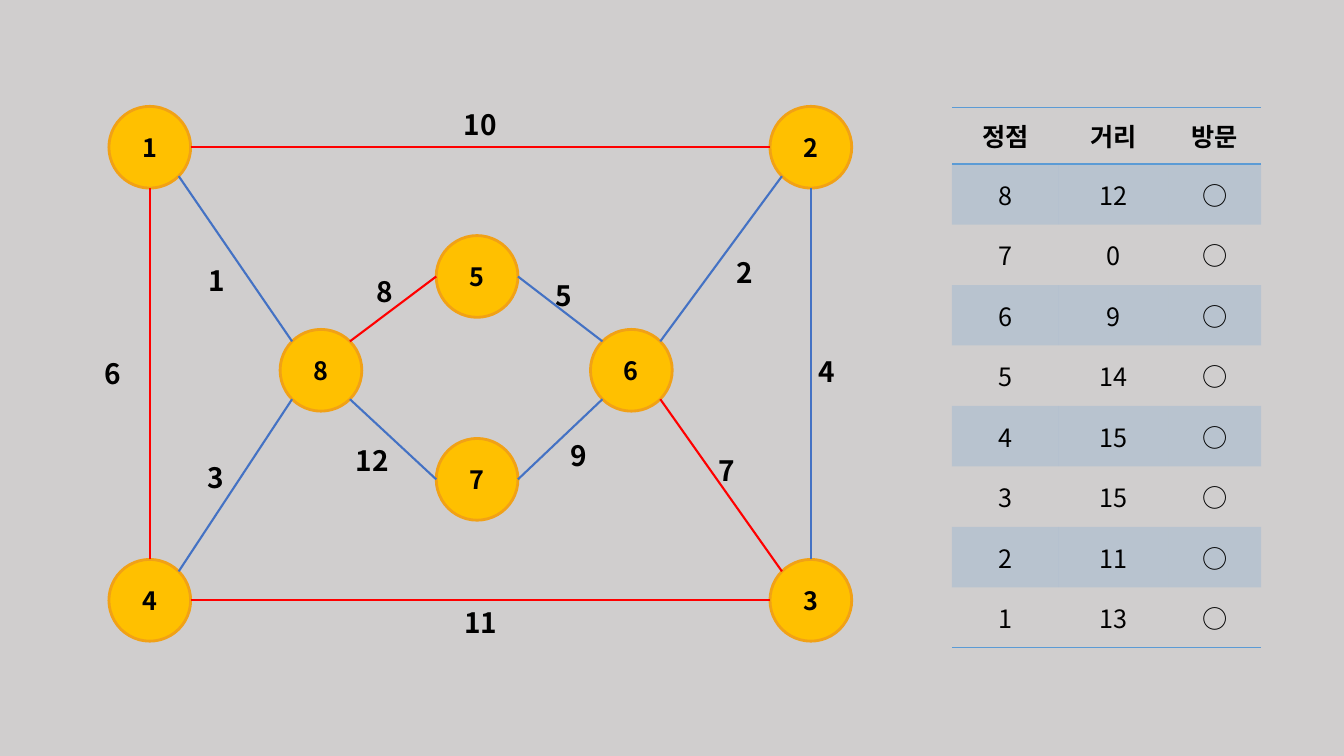
from lxml import etree
from pptx import Presentation
from pptx.dml.color import RGBColor
from pptx.enum.shapes import MSO_CONNECTOR, MSO_SHAPE
from pptx.enum.text import MSO_ANCHOR, MSO_AUTO_SIZE, PP_ALIGN
from pptx.oxml.ns import qn
from pptx.util import Pt

STRAIGHT = MSO_CONNECTOR.STRAIGHT
OVAL = MSO_SHAPE.OVAL
MIDDLE = MSO_ANCHOR.MIDDLE
FIT_SHAPE = MSO_AUTO_SIZE.SHAPE_TO_FIT_TEXT
CENTER, LEFT = PP_ALIGN.CENTER, PP_ALIGN.LEFT

FONT = "Noto Sans CJK KR"
COLORS = {
    "background": "D0CECE", "text": "000000", "node": "FFC000", "ring": "F1A116",
    "chosen": "FF0000", "plain": "4472C4", "table": "5B9BD5",
}
NO_TABLE_STYLE = "{2D5ABB26-0587-4C30-8999-92F81FD0307C}"

# Vertex: centre x, centre y
DIAMETER = 58.4
VERTICES = {
    "1": (107, 105.2), "2": (579.2, 105.2), "4": (107, 428.8), "3": (579.2, 428.8),
    "5": (340.8, 197.5), "7": (340.8, 342.4), "6": (451, 264.5), "8": (229.3, 264.5),
}

# Direction from a vertex centre to the point where an edge leaves its circle
DIAGONAL = 0.5 ** 0.5
SITES = {
    "N": (0, -1), "S": (0, 1), "W": (-1, 0), "E": (1, 0),
    "NW": (-DIAGONAL, -DIAGONAL), "NE": (DIAGONAL, -DIAGONAL),
    "SW": (-DIAGONAL, DIAGONAL), "SE": (DIAGONAL, DIAGONAL),
}

# Edge: start vertex and site, end vertex and site, colour, weight, label left and top
EDGES = [
    ("1", "E", "2", "W", "chosen", "10", 324, 73.4),
    ("1", "SE", "8", "NW", "plain", "1", 141.8, 185),
    ("4", "NE", "8", "SW", "plain", "3", 141.1, 325.4),
    ("4", "N", "1", "S", "chosen", "6", 67.7, 251.3),
    ("4", "E", "3", "W", "chosen", "11", 324.7, 429.1),
    ("8", "SE", "7", "W", "plain", "12", 247, 313.2),
    ("8", "NE", "5", "W", "chosen", "8", 262.1, 192.2),
    ("5", "E", "6", "NW", "plain", "5", 389.5, 195.1),
    ("6", "SE", "3", "NW", "chosen", "7", 506.2, 320.4),
    ("6", "NE", "2", "SW", "plain", "2", 519.1, 179.3),
    ("3", "N", "2", "S", "plain", "4", 577.4, 249.8),
    ("7", "E", "6", "SW", "plain", "9", 400.3, 309.6),
]
LABEL_HEIGHT = 31.7
LABEL_WIDTHS = {1: 25.9, 2: 38.2}

HEADER = ("정점", "거리", "방문")
DISTANCES = [("8", "12"), ("7", "0"), ("6", "9"), ("5", "14"),
             ("4", "15"), ("3", "15"), ("2", "11"), ("1", "13")]
VISITED = "○"
TABLE_LEFT, TABLE_TOP = 680, 76.8
COLUMN_WIDTHS = (76.4, 78.4, 66)
HEADER_HEIGHT, ROW_HEIGHT = 40.4, 43.2


def color(name):
    return RGBColor.from_string(COLORS[name])


def write(frame, text, size, bold, align):
    frame.text = text
    para = frame.paragraphs[0]
    para.alignment = align
    span = para.runs[0]
    span.font.name = FONT
    span.font.size = Pt(size)
    span.font.bold = bold
    span.font.color.rgb = color("text")
    etree.SubElement(span.font._element, qn("a:ea"), typeface=FONT)


def site_point(vertex, site):
    x, y = VERTICES[vertex]
    dx, dy = SITES[site]
    return Pt(x + dx * DIAMETER / 2), Pt(y + dy * DIAMETER / 2)


def add_vertex(slide, name, x, y):
    circle = slide.shapes.add_shape(OVAL, Pt(x - DIAMETER / 2), Pt(y - DIAMETER / 2),
                                    Pt(DIAMETER), Pt(DIAMETER))
    circle.shadow.inherit = False
    circle.fill.solid()
    circle.fill.fore_color.rgb = color("node")
    circle.line.color.rgb = color("ring")
    circle.line.width = Pt(2)
    circle.text_frame.vertical_anchor = MIDDLE
    write(circle.text_frame, name, 18, True, CENTER)


def add_edge(slide, start, end, color_name):
    edge = slide.shapes.add_connector(STRAIGHT, *start, *end)
    edge.line.color.rgb = color(color_name)
    edge.line.width = Pt(1.5)
    etree.SubElement(edge._element.spPr, qn("a:effectLst"))


def add_weight(slide, weight, left, top):
    box = slide.shapes.add_textbox(Pt(left), Pt(top), Pt(LABEL_WIDTHS[len(weight)]),
                                   Pt(LABEL_HEIGHT))
    box.text_frame.word_wrap = False
    box.text_frame.auto_size = FIT_SHAPE
    write(box.text_frame, weight, 20, True, LEFT)


def add_border(cell, side):
    """Draw one side of a cell; call before the cell is filled."""
    border = etree.SubElement(cell._tc.get_or_add_tcPr(), qn("a:" + side), w=str(Pt(1)))
    fill = etree.SubElement(border, qn("a:solidFill"))
    etree.SubElement(fill, qn("a:srgbClr"), val=COLORS["table"])


def shade(cell):
    cell.fill.solid()
    cell.fill.fore_color.rgb = color("table")
    tint = cell._tc.tcPr.find(qn("a:solidFill")).find(qn("a:srgbClr"))
    etree.SubElement(tint, qn("a:alpha"), val="20000")


def add_distance_table(slide):
    rows = [HEADER] + [pair + (VISITED,) for pair in DISTANCES]
    last = len(rows) - 1
    frame = slide.shapes.add_table(
        len(rows), len(HEADER), Pt(TABLE_LEFT), Pt(TABLE_TOP),
        Pt(sum(COLUMN_WIDTHS)), Pt(HEADER_HEIGHT + last * ROW_HEIGHT))
    table = frame.table
    table._tbl.tblPr.find(qn("a:tableStyleId")).text = NO_TABLE_STYLE
    for column, width in zip(table.columns, COLUMN_WIDTHS):
        column.width = Pt(width)
    for r, values in enumerate(rows):
        table.rows[r].height = Pt(ROW_HEIGHT if r else HEADER_HEIGHT)
        for c, value in enumerate(values):
            cell = table.cell(r, c)
            cell.vertical_anchor = MIDDLE
            write(cell.text_frame, value, 18, r == 0, CENTER)
            if r == 0:
                add_border(cell, "lnT")
            if r in (0, last):
                add_border(cell, "lnB")
            if r % 2:
                shade(cell)
            else:
                cell.fill.background()


def main():
    deck = Presentation()
    deck.slide_width, deck.slide_height = Pt(960), Pt(540)
    slide = deck.slides.add_slide(deck.slide_layouts[6])
    slide.background.fill.solid()
    slide.background.fill.fore_color.rgb = color("background")

    add_distance_table(slide)
    for name, (x, y) in VERTICES.items():
        add_vertex(slide, name, x, y)
    for start, start_site, end, end_site, color_name, weight, left, top in EDGES:
        add_edge(slide, site_point(start, start_site), site_point(end, end_site), color_name)
        add_weight(slide, weight, left, top)
    deck.save("out.pptx")


if __name__ == "__main__":
    main()
